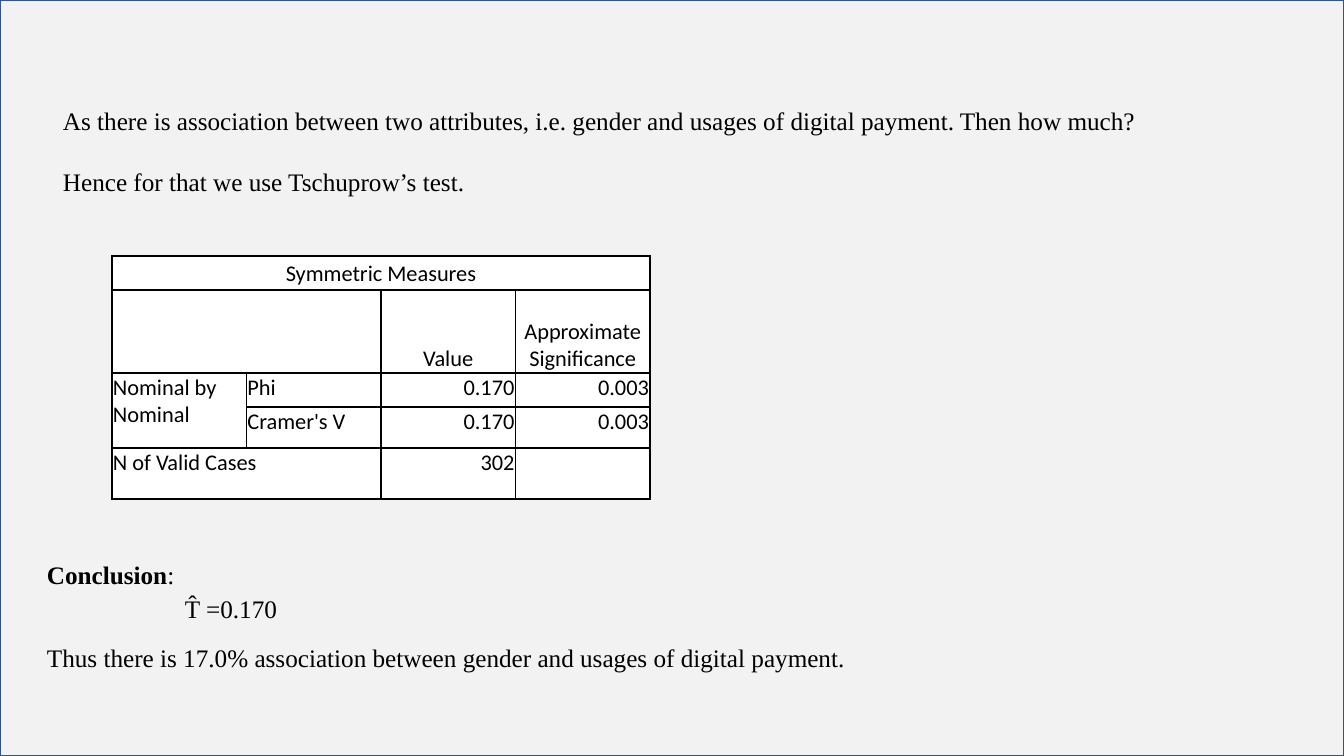
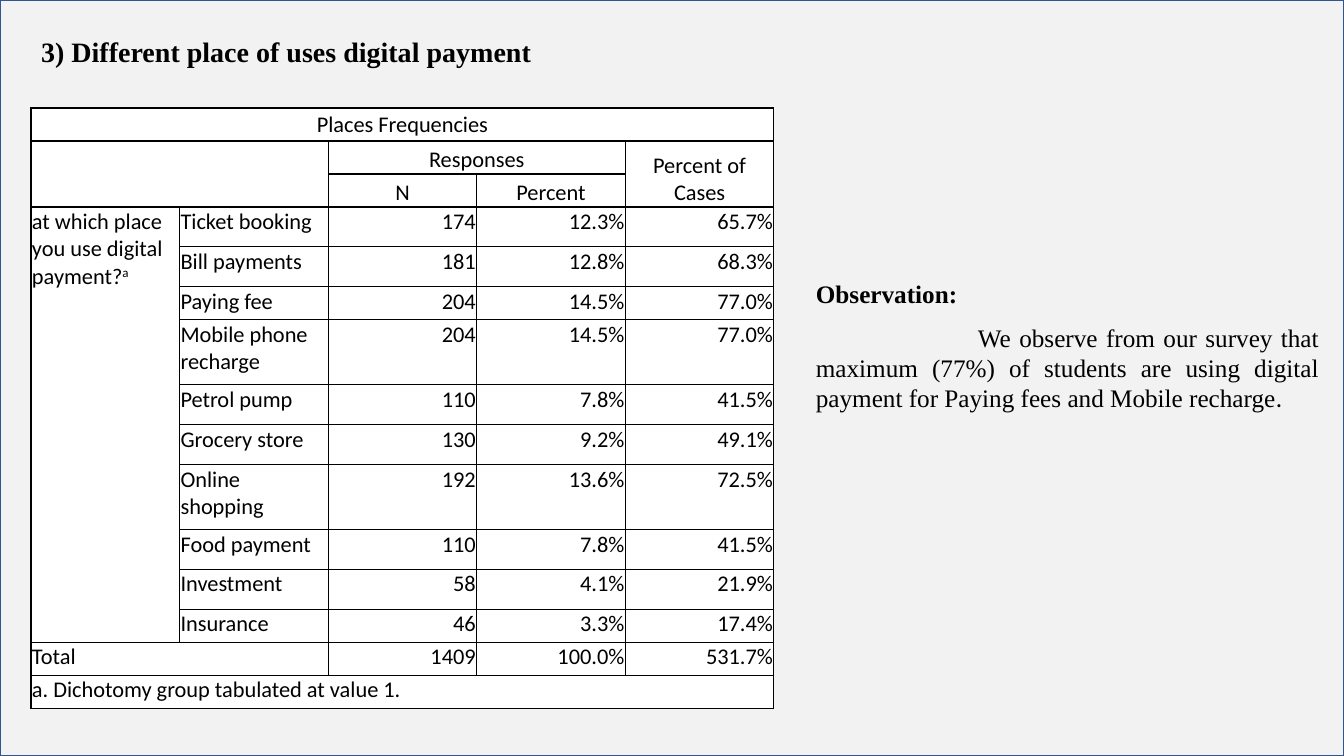
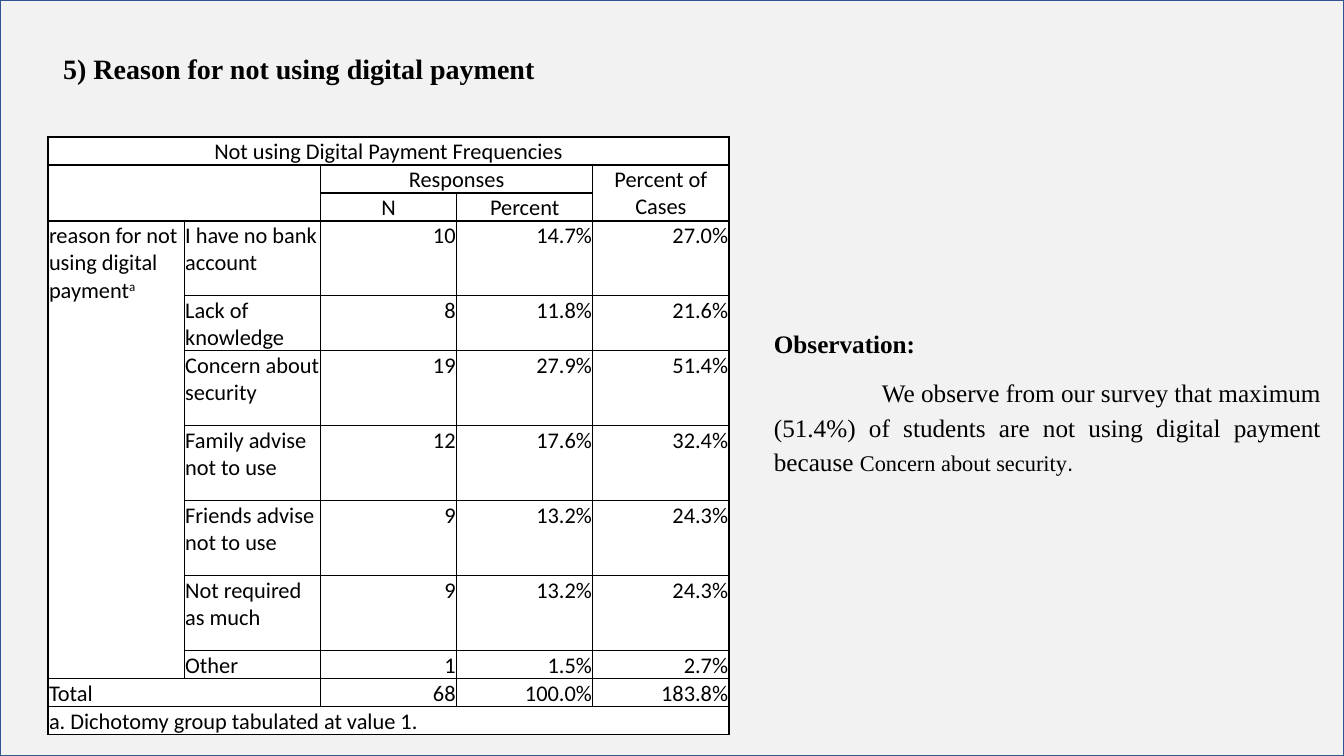
from lxml.etree import SubElement
from pptx import Presentation
from pptx.dml.color import RGBColor
from pptx.enum.shapes import MSO_SHAPE
from pptx.enum.text import MSO_ANCHOR as Anchor, MSO_AUTO_SIZE as AutoSize, PP_ALIGN as Align
from pptx.oxml.ns import qn
from pptx.util import Pt

# Shared look
SCALE = 914400 / 100.8
PAGE = (1344, 756)
BLACK, WHITE, PAPER, FRAME = "000000", "FFFFFF", "F2F2F2", "325491"
SERIF, SANS = "Times New Roman", "Calibri"
TITLE_ONLY, BLANK = 5, 6

# Running text: each paragraph is (runs, format), each run is (text, font settings)
BOLD = {"bold": True}
SPACED = {"line": 1.15, "after": 10}

QUESTION = [
    ([("As there is association between two attributes, i.e. gender and usages of "
       "digital payment. Then how much?", {})], {}),
    ([("Hence for that we use Tschuprow’s test.", {})], {"before": 22}),
]
CONCLUSION = [
    ([("Conclusion", BOLD), (":", {})], {}),
    ([("T̂ =0.170", {})], {**SPACED, "indent": 138}),
    ([("Thus there is 17.0% association between gender and usages of digital payment.", {})],
     SPACED),
]
PLACES_OBSERVATION = [
    ([("Observation:", BOLD)], {"align": Align.JUSTIFY}),
    ([("We observe from our survey that maximum (77%) of students are using digital "
       "payment for Paying fees and Mobile recharge", {}), (".", {"name": SANS})],
     {"align": Align.JUSTIFY, "before": 10, "indent": 162}),
]
REASONS_OBSERVATION = [
    ([("Observation:", BOLD)], SPACED),
    ([("We observe from our survey that maximum (51.4%) of students are not using "
       "digital payment because ", {}),
      ("Concern about security", {"size": Pt(16)}),
      (".", {"size": Pt(16), "name": "Arial"})],
     {**SPACED, "align": Align.JUSTIFY, "indent": 108}),
]

# Tables: rows of cell texts (None is covered by a merge), merges as (row, column, rows, columns)
MEASURES = {
    "rows": [
        ["Symmetric Measures", None, None, None],
        [None, None, "Value", "Approximate Significance"],
        ["Nominal by Nominal", "Phi", "0.170", "0.003"],
        [None, "Cramer's V", "0.170", "0.003"],
        ["N of Valid Cases", None, "302", None],
    ],
    "merges": [(0, 0, 1, 4), (1, 0, 1, 2), (2, 0, 2, 1), (4, 0, 1, 2)],
    "header_rows": 2,
}
PLACES = [
    ("Ticket booking", "174", "12.3%", "65.7%"),
    ("Bill payments", "181", "12.8%", "68.3%"),
    ("Paying fee", "204", "14.5%", "77.0%"),
    ("Mobile phone recharge", "204", "14.5%", "77.0%"),
    ("Petrol pump", "110", "7.8%", "41.5%"),
    ("Grocery store", "130", "9.2%", "49.1%"),
    ("Online shopping", "192", "13.6%", "72.5%"),
    ("Food payment", "110", "7.8%", "41.5%"),
    ("Investment", "58", "4.1%", "21.9%"),
    ("Insurance", "46", "3.3%", "17.4%"),
]
REASONS = [
    ("I have no bank account", "10", "14.7%", "27.0%"),
    ("Lack of knowledge", "8", "11.8%", "21.6%"),
    ("Concern about security", "19", "27.9%", "51.4%"),
    ("Family advise not to use", "12", "17.6%", "32.4%"),
    ("Friends advise not to use", "9", "13.2%", "24.3%"),
    ("Not required as much", "9", "13.2%", "24.3%"),
    ("Other", "1", "1.5%", "2.7%"),
]


def frequencies(caption, question, answers, totals):
    """Lay out a frequency table; its question carries the footnote mark."""
    count = len(answers)
    marks = [(question, "a")] + [None] * (count - 1)
    return {
        "rows": [
            [caption] + [None] * 4,
            [None, None, "Responses", None, "Percent of Cases"],
            [None, None, "N", "Percent", None],
            *([mark, *answer] for mark, answer in zip(marks, answers)),
            ["Total", None, *totals],
            ["a. Dichotomy group tabulated at value 1."] + [None] * 4,
        ],
        "merges": [(0, 0, 1, 5), (1, 0, 2, 2), (1, 2, 1, 2), (1, 4, 2, 1),
                   (3, 0, count, 1), (count + 3, 0, 1, 2), (count + 4, 0, 1, 5)],
        "header_rows": 3,
    }


SLIDES = [
    {"texts": [((53, 100, 1194, 102), QUESTION), ((37, 554, 1124, 169), CONCLUSION)],
     "table": MEASURES, "at": (112, 256, 538), "heights": [34, 83, 34, 41, 51]},
    {"title": "3) Different place of uses digital payment", "title_at": (31, 29, 671, 44),
     "texts": [((806, 273, 523, 147), PLACES_OBSERVATION)],
     "table": frequencies("Places Frequencies", "at which place you use digital payment?",
                          PLACES, ("1409", "100.0%", "531.7%")),
     "at": (31, 108, 743),
     "heights": [33] * 3 + [40, 40, 33, 65, 40, 40, 65, 40, 40] + [33] * 3},
    {"title": "5) Reason for not using digital payment", "title_at": (53, 46, 671, 44),
     "texts": [((764, 319, 567, 162), REASONS_OBSERVATION)],
     "table": frequencies("Not using Digital Payment Frequencies",
                          "reason for not using digital payment",
                          REASONS, ("68", "100.0%", "183.8%")),
     "at": (48, 137, 681),
     "heights": [28] * 3 + [75, 55] + [75] * 4 + [28] * 3},
]


def px(length):
    return round(length * SCALE)


def rgb(color):
    return RGBColor.from_string(color)


def set_font(font, name, size, bold=None):
    font.name, font.size, font.bold = name, Pt(size), bold
    font.color.rgb = rgb(BLACK)


def add_backdrop(slide):
    backdrop = slide.shapes.add_shape(MSO_SHAPE.RECTANGLE, 0, 0, *map(px, PAGE))
    backdrop.shadow.inherit = False
    backdrop.fill.solid()
    backdrop.fill.fore_color.rgb = rgb(PAPER)
    backdrop.line.color.rgb = rgb(FRAME)
    backdrop.line.width = Pt(1)
    # Behind the title placeholder
    slide.shapes._spTree.insert(2, backdrop._element)


def set_title(slide, text, box):
    title = slide.shapes.title
    title.left, title.top, title.width, title.height = map(px, box)
    frame = title.text_frame
    frame.text = text
    frame.vertical_anchor, frame.auto_size = Anchor.TOP, AutoSize.NONE
    frame.paragraphs[0].alignment = Align.LEFT
    set_font(frame.paragraphs[0].font, SERIF, 20, True)


def add_text(slide, box, paragraphs):
    frame = slide.shapes.add_textbox(*map(px, box)).text_frame
    frame.word_wrap, frame.auto_size = True, AutoSize.SHAPE_TO_FIT_TEXT
    for index, (runs, layout) in enumerate(paragraphs):
        paragraph = frame.add_paragraph() if index else frame.paragraphs[0]
        paragraph.alignment = layout.get("align", Align.LEFT)
        paragraph.line_spacing = layout.get("line")
        if "before" in layout:
            paragraph.space_before = Pt(layout["before"])
        if "after" in layout:
            paragraph.space_after = Pt(layout["after"])
        if "indent" in layout:
            paragraph._p.get_or_add_pPr().set("indent", str(px(layout["indent"])))
        set_font(paragraph.font, SERIF, 18)
        for text, settings in runs:
            run = paragraph.add_run()
            run.text = text
            for setting, value in settings.items():
                setattr(run.font, setting, value)


def style_cell(cell):
    cell.margin_left = cell.margin_right = cell.margin_top = px(1)
    cell.margin_bottom = 0
    properties = cell._tc.get_or_add_tcPr()
    for side in ("lnL", "lnR", "lnT", "lnB"):
        line = SubElement(properties, qn("a:" + side), w=str(Pt(1)))
        fill = SubElement(line, qn("a:solidFill"))
        SubElement(fill, qn("a:srgbClr"), val=BLACK)
    cell.fill.solid()
    cell.fill.fore_color.rgb = rgb(WHITE)


def fill_cell(cell, content, row, column, header_rows):
    paragraph = cell.text_frame.paragraphs[0]
    if row < header_rows:
        paragraph.alignment = Align.CENTER
        cell.vertical_anchor = Anchor.BOTTOM if row else Anchor.MIDDLE
    else:
        paragraph.alignment = Align.RIGHT if column > 1 else Align.LEFT
        cell.vertical_anchor = Anchor.TOP
    set_font(paragraph.font, SANS, 16)
    if content is None:
        return
    text, mark = content if isinstance(content, tuple) else (content, None)
    paragraph.add_run().text = text
    if mark:
        superscript = paragraph.add_run()
        superscript.text = mark
        superscript.font._element.set("baseline", "30000")


def add_grid(slide, content, at, heights):
    rows = content["rows"]
    columns = len(rows[0])
    left, top, width = at
    table = slide.shapes.add_table(len(rows), columns,
                                   *map(px, (left, top, width, sum(heights)))).table
    table.first_row = table.horz_banding = False
    for column in table.columns:
        column.width = px(width / columns)
    for r, (texts, height) in enumerate(zip(rows, heights)):
        table.rows[r].height = px(height)
        for c, text in enumerate(texts):
            style_cell(table.cell(r, c))
            fill_cell(table.cell(r, c), text, r, c, content["header_rows"])
    for r, c, down, across in content["merges"]:
        table.cell(r, c).merge(table.cell(r + down - 1, c + across - 1))


def main():
    deck = Presentation()
    deck.slide_width, deck.slide_height = map(px, PAGE)
    for page in SLIDES:
        layout = TITLE_ONLY if "title" in page else BLANK
        slide = deck.slides.add_slide(deck.slide_layouts[layout])
        add_backdrop(slide)
        if "title" in page:
            set_title(slide, page["title"], page["title_at"])
        for box, paragraphs in page["texts"]:
            add_text(slide, box, paragraphs)
        add_grid(slide, page["table"], page["at"], page["heights"])
    deck.save("out.pptx")


if __name__ == "__main__":
    main()
